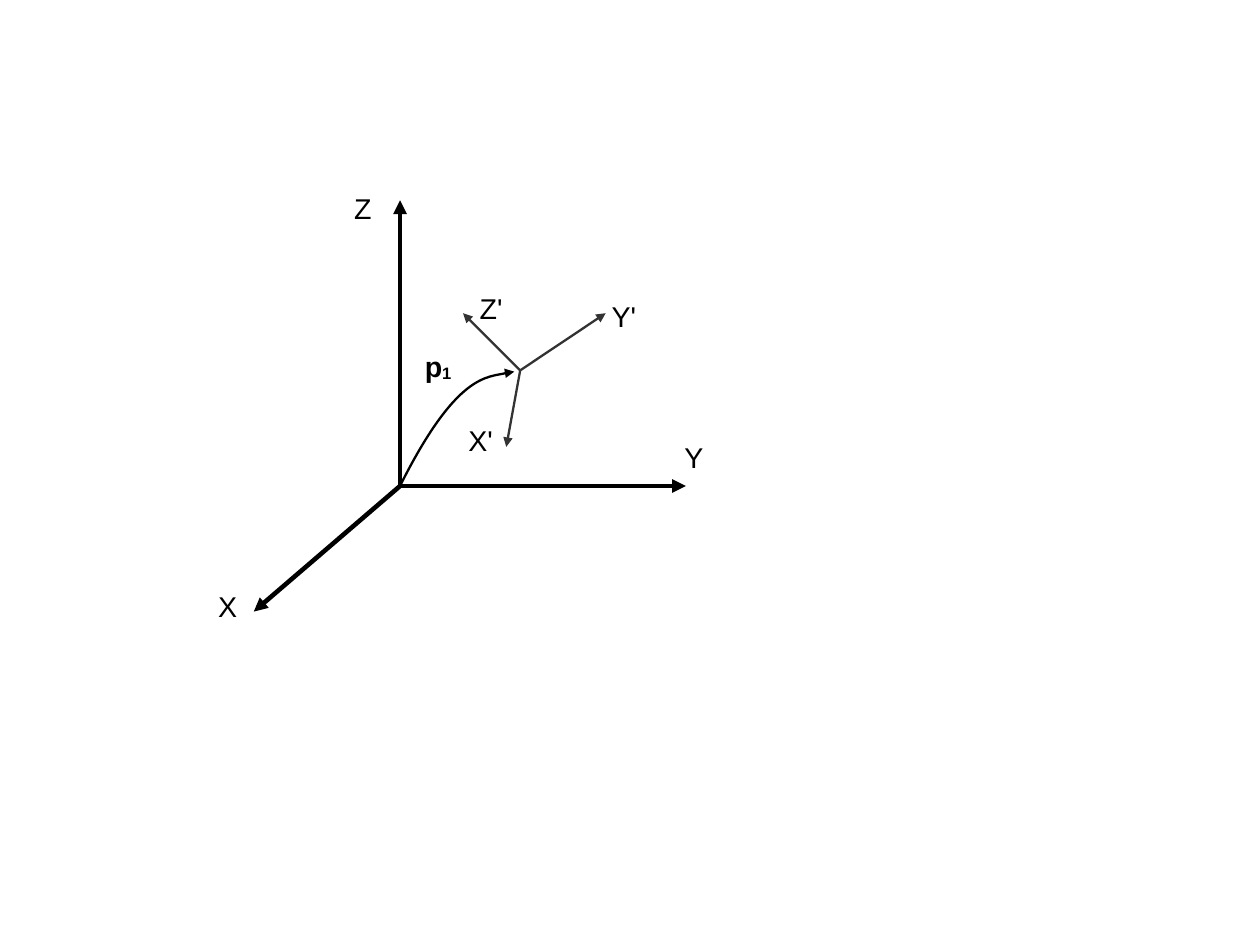
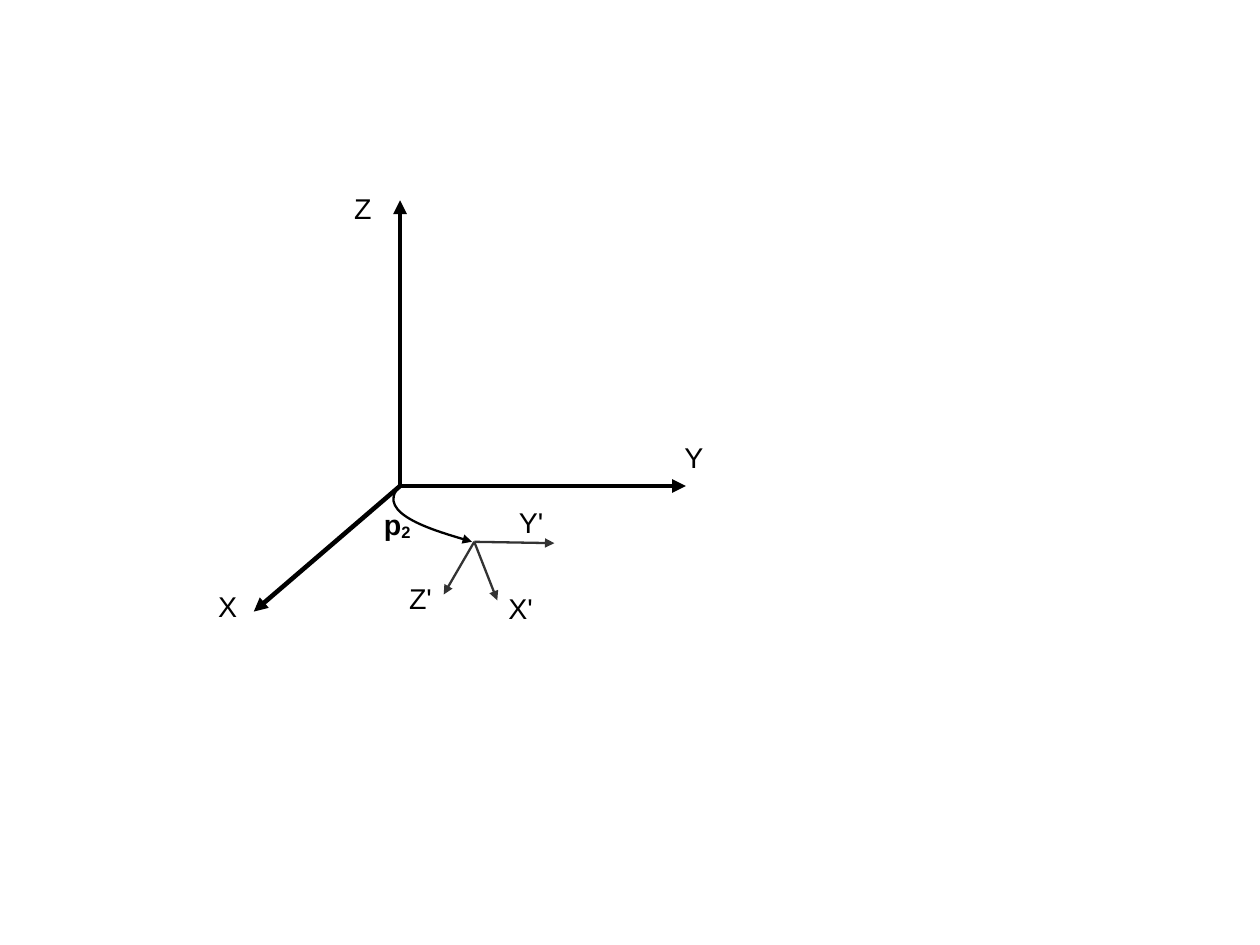
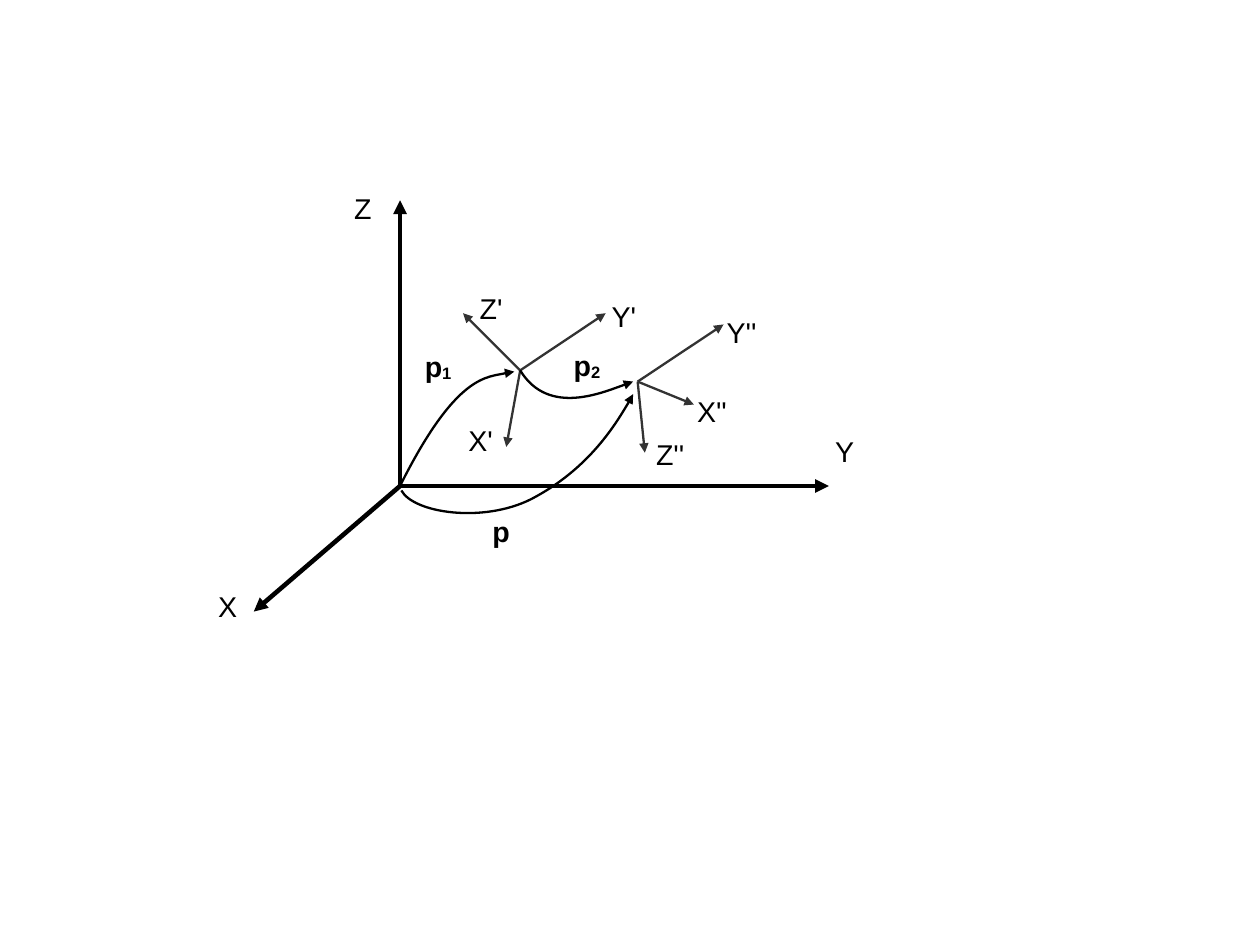
from pptx import Presentation
from pptx.dml.color import RGBColor
from pptx.enum.shapes import MSO_CONNECTOR
from pptx.enum.text import MSO_AUTO_SIZE, MSO_ANCHOR
from pptx.oxml.ns import qn
from pptx.util import Cm, Pt
from lxml.etree import SubElement

COLORS = {"base": "000000", "moved": "333333"}
THICK, THIN = Pt(2.89), Pt(1.45)
BOX_FORMAT = {"word_wrap": False, "auto_size": MSO_AUTO_SIZE.SHAPE_TO_FIT_TEXT,
              "vertical_anchor": MSO_ANCHOR.TOP}
FONT_FORMAT = {"name": "Arial", "size": Pt(18)}

# Positions are in centimetres.
ORIGIN = (8.89, 10.8)
X_TIP, Z_TIP = (5.64, 13.59), (8.89, 4.45)
SHARED_LABELS = [("X", 4.6, 12.97), ("Z", 7.62, 4.11)]

# A frame is its origin, then its axes: label, tip, label position.
FIRST_FRAME = ((11.56, 8.23), [
    ("Y'", (13.46, 6.96), (13.34, 6.52)),
    ("Z'", (10.29, 6.96), (10.41, 6.35)),
    ("X'", (11.25, 9.93), (10.16, 9.27)),
])
SECOND_FRAME = ((10.54, 12.04), [
    ("Y'", (12.32, 12.07), (11.28, 11.1)),
    ("Z'", (9.86, 13.21), (8.84, 12.79)),
    ("X'", (11.05, 13.34), (11.05, 13)),
])
COMBINED_FRAME = ((14.17, 8.48), [
    ("Y''", (16.08, 7.21), (15.9, 6.87)),
    ("Z''", (14.33, 10.06), (14.33, 9.59)),
    ("X''", (15.42, 8.99), (15.24, 8.64)),
])

# A vector is its subscript, its label position and its Bezier points.
FIRST_VECTOR = ("1", (9.19, 7.62),
                [ORIGIN, (10.16, 8.26), (11.43, 8.26), (11.43, 8.26)])
SECOND_VECTOR = ("2", (8.28, 11.15),
                 [ORIGIN, (8.26, 11.43), (10.49, 12.04), (10.49, 12.04)])
SECOND_AFTER_FIRST = ("2", (12.5, 7.61),
                      [(11.56, 8.23), (12.19, 9.27), (14.07, 8.48), (14.07, 8.48)])
TOTAL_VECTOR = ("", (10.69, 11.3),
                [(8.92, 10.9), (9.19, 11.4), (10.72, 11.63), (11.79, 11.1),
                 (13.13, 10.41), (14.05, 8.84), (14.07, 8.76)])

DIAGRAMS = [
    {"y_tip": (15.24, 10.8), "y_label": ("Y", 14.96, 9.65),
     "frames": [FIRST_FRAME], "vectors": [FIRST_VECTOR]},
    {"y_tip": (15.24, 10.8), "y_label": ("Y", 14.96, 9.65),
     "frames": [SECOND_FRAME], "vectors": [SECOND_VECTOR]},
    {"y_tip": (18.42, 10.8), "y_label": ("Y", 18.31, 9.52),
     "frames": [FIRST_FRAME, COMBINED_FRAME],
     "vectors": [FIRST_VECTOR, SECOND_AFTER_FIRST, TOTAL_VECTOR]},
]


def add_arrow(slide, points, color, width):
    """Draw a straight arrow through two points, or a Bezier arrow through more."""
    corners = [(Cm(x), Cm(y)) for x, y in points]
    if len(corners) == 2:
        arrow = slide.shapes.add_connector(MSO_CONNECTOR.STRAIGHT, *corners[0], *corners[1])
    else:
        outline = slide.shapes.build_freeform(*corners[0])
        outline.add_line_segments(corners[1:], close=False)
        arrow = outline.convert_to_shape()
        arrow.fill.background()
        segments = list(arrow.element.iter(qn("a:lnTo")))
        for start in range(0, len(segments), 3):
            bezier = SubElement(segments[start].getparent(), qn("a:cubicBezTo"))
            for segment in segments[start:start + 3]:
                bezier.append(segment[0])
                segment.getparent().remove(segment)
    arrow.line.color.rgb = RGBColor.from_string(COLORS[color])
    arrow.line.width = width
    properties = arrow.element.spPr
    SubElement(properties.find(qn("a:ln")), qn("a:tailEnd"), type="triangle")
    SubElement(properties, qn("a:effectLst"))


def add_label(slide, text, x, y, width, height=0.97, bold=False, subscript=""):
    box = slide.shapes.add_textbox(Cm(x), Cm(y), Cm(width), Cm(height))
    for name, value in BOX_FORMAT.items():
        setattr(box.text_frame, name, value)
    paragraph = box.text_frame.paragraphs[0]
    for part in filter(None, (text, subscript)):
        run = paragraph.add_run()
        run.text = part
        run.font.bold = bold
        run.font.color.rgb = RGBColor.from_string(COLORS["base"])
        for name, value in FONT_FORMAT.items():
            setattr(run.font, name, value)
    if subscript:
        run.font._element.set("baseline", "-8000")


prs = Presentation()
prs.slide_width, prs.slide_height = Cm(28), Cm(21)

for diagram in DIAGRAMS:
    slide = prs.slides.add_slide(prs.slide_layouts[6])
    for tip in (Z_TIP, X_TIP, diagram["y_tip"]):
        add_arrow(slide, [ORIGIN, tip], "base", THICK)
    for axis, x, y in SHARED_LABELS + [diagram["y_label"]]:
        add_label(slide, axis, x, y, 0.95)
    for center, axes in diagram["frames"]:
        for axis, tip, (x, y) in axes:
            add_arrow(slide, [center, tip], "moved", THIN)
            add_label(slide, axis, x, y, 0.95 + 0.15 * axis.count("'"))
    for subscript, (x, y), points in diagram["vectors"]:
        add_arrow(slide, points, "base", THIN)
        width, height = (1.2, 1.19) if subscript else (0.89, 1.12)
        add_label(slide, "p", x, y, width, height, bold=True, subscript=subscript)

prs.save("out.pptx")
